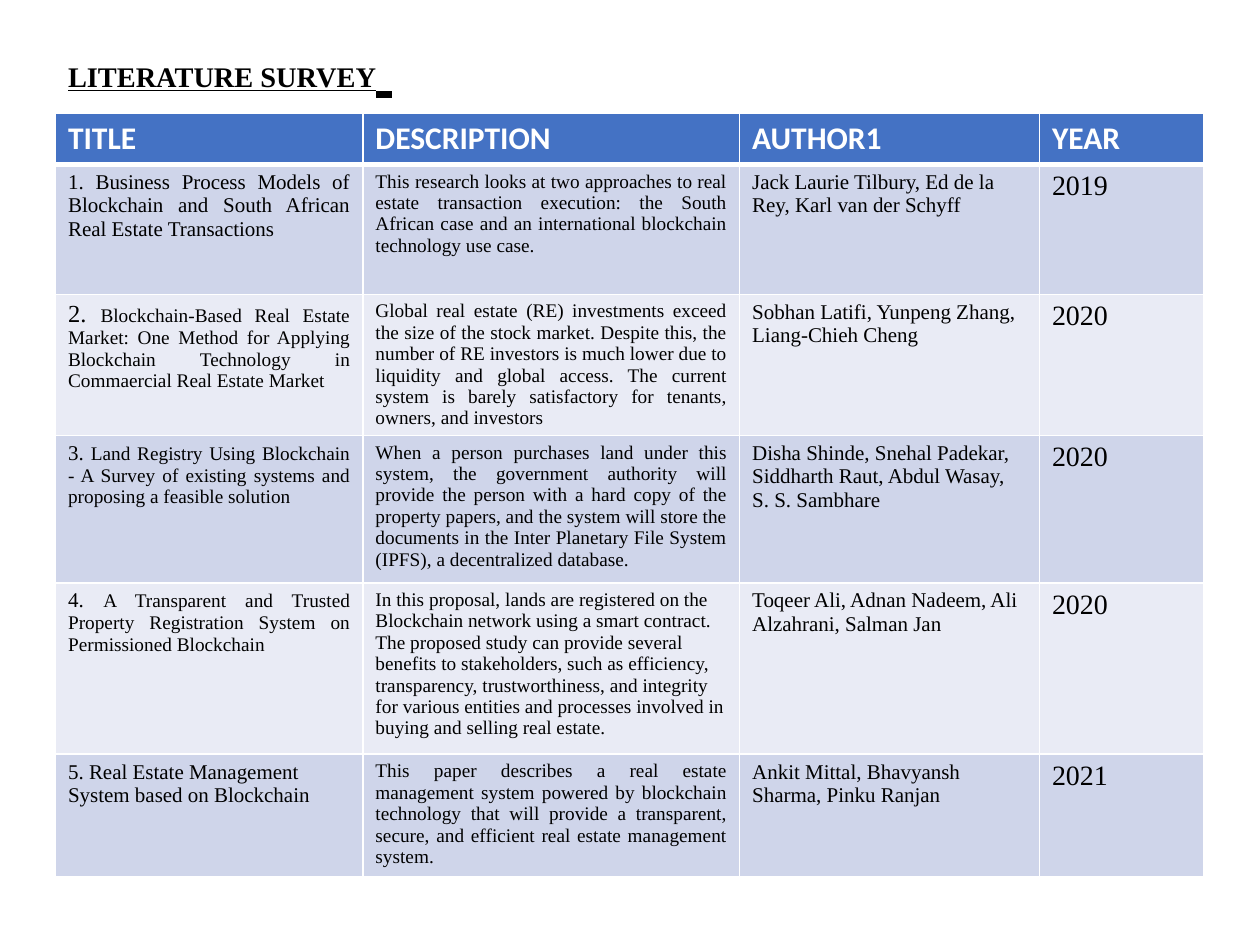
import pptx
import pptx.dml.color
import pptx.enum.text
import pptx.oxml
import pptx.oxml.ns
import pptx.util

SERIF, SANS = "Times New Roman", "Calibri"
BLACK, WHITE, BLUE = "000000", "FFFFFF", "4472C4"
BANDS = ["CFD5EA", "E9EBF5"]
ALIGN = pptx.enum.text.PP_ALIGN
WIDE = [24.4, 29.9, 23.8, 13]
HIGH = [3.5, 10.3, 10.7, 11.7, 13.6, 9.7]
HEADS = ["TITLE", "DESCRIPTION", "AUTHOR1", "YEAR"]
PAPERS = [
    ([("1. Business Process Models of Blockchain and South African Real Estate Transactions", 12)],
     "This research looks at two approaches to real estate transaction execution: the South "
     "African case and an international blockchain technology use case. ",
     "Jack Laurie Tilbury, Ed de la Rey, Karl van der Schyff", "2019"),
    ([("2. ", 14), ("Blockchain-Based Real Estate Market: One Method for Applying Blockchain "
                    "Technology in Commaercial Real Estate Market", 11)],
     "Global real estate (RE) investments exceed the size of the stock market. Despite this, the "
     "number of RE investors is much lower due to liquidity and global access. The current system "
     "is barely satisfactory for tenants, owners, and investors",
     "Sobhan Latifi, Yunpeng Zhang, Liang-Chieh Cheng", "2020"),
    ([("3. ", 12), ("Land Registry Using Blockchain - A Survey of existing systems and proposing "
                    "a feasible solution", 11)],
     "When a person purchases land under this system, the government authority will provide the "
     "person with a hard copy of the property papers, and the system will store the documents in "
     "the Inter Planetary File System (IPFS), a decentralized database.",
     "Disha Shinde, Snehal Padekar, Siddharth Raut, Abdul Wasay, S. S. Sambhare", "2020"),
    ([("4. ", 12), ("A Transparent and Trusted Property Registration System on Permissioned "
                    "Blockchain", 11)],
     "In this proposal, lands are registered on the Blockchain network using a smart contract. "
     "The proposed study can provide several benefits to stakeholders, such as efficiency, "
     "transparency, trustworthiness, and integrity for various entities and processes involved "
     "in buying and selling real estate.",
     "Toqeer Ali, Adnan Nadeem, Ali Alzahrani, Salman Jan", "2020"),
    ([("5. Real Estate Management System based on Blockchain", 12)],
     "This paper describes a real estate management system powered by blockchain technology "
     "that will provide a transparent, secure, and efficient real estate management system. ",
     "Ankit Mittal, Bhavyansh Sharma, Pinku Ranjan", "2021"),
]
LEFT = {(4, 1), (5, 0)}


def tint(code):
    """Turn a hex string into a colour."""
    return pptx.dml.color.RGBColor.from_string(code)


class Page:
    """Hold the style and the slide, on a grid of 100 columns and 75 rows."""

    def __init__(self, deck):
        """Add a title-only slide."""
        self.unit = deck.slide_width / 100
        self.slide = deck.slides.add_slide(deck.slide_layouts[5])

    def span(self, count):
        """Turn grid steps into a length."""
        return pptx.util.Emu(round(count * self.unit))

    def words(self, para, text, size, face=SERIF, code=BLACK, bold=False, line=None):
        """Add one styled run."""
        run = para.add_run()
        run.text = text
        font = run.font
        font.size, font.name = pptx.util.Pt(size), face
        font.bold, font.underline = bold, line
        font.color.rgb = tint(code)

    def title(self, text, box):
        """Place and fill the title."""
        head = self.slide.shapes.title
        head.left, head.top, head.width, head.height = map(self.span, box)
        frame = head.text_frame
        frame.word_wrap = True
        frame.auto_size = pptx.enum.text.MSO_AUTO_SIZE.NONE
        frame.vertical_anchor = pptx.enum.text.MSO_ANCHOR.MIDDLE
        para = frame.paragraphs[0]
        para.alignment, para.line_spacing = ALIGN.LEFT, 0.9
        self.words(para, text, 16.2, bold=True, line=True)
        self.words(para, " ", 39.6, SANS, line=True)

    def edge(self, cell, base):
        """Draw the white borders of a cell, the lower one in the given width."""
        props = cell._tc.get_or_add_tcPr()
        for side, width in zip("LRTB", [1, 1, 1, base]):
            props.append(pptx.oxml.parse_xml(
                f'<a:ln{side} {pptx.oxml.ns.nsdecls("a")} w="{pptx.util.Pt(width)}">'
                f'<a:solidFill><a:srgbClr val="{WHITE}"/></a:solidFill></a:ln{side}>'))

    def cell(self, cell, runs, fill, align, base=1, **style):
        """Fill one table cell."""
        self.edge(cell, base)
        cell.fill.solid()
        cell.fill.fore_color.rgb = tint(fill)
        para = cell.text_frame.paragraphs[0]
        para.alignment = align
        for text, size in runs:
            self.words(para, text, size, **style)

    def table(self, left, top):
        """Build the table of papers."""
        box = map(self.span, [left, top, sum(WIDE), sum(HIGH)])
        grid = self.slide.shapes.add_table(len(HIGH), len(WIDE), *box).table
        for col, wide in zip(grid.columns, WIDE):
            col.width = self.span(wide)
        for row, high in zip(grid.rows, HIGH):
            row.height = self.span(high)
        for x, text in enumerate(HEADS):
            self.cell(grid.cell(0, x), [(text, 18)], BLUE, ALIGN.LEFT, 3,
                      face=SANS, code=WHITE, bold=True)
        for y, (name, about, people, year) in enumerate(PAPERS, 1):
            parts = [name, [(about, 11)], [(people, 12)], [(year, 16)]]
            for x, runs in enumerate(parts):
                just = x < 2 and (y, x) not in LEFT
                self.cell(grid.cell(y, x), runs, BANDS[(y - 1) % 2],
                          ALIGN.JUSTIFY if just else ALIGN.LEFT)


def main():
    """Build and save the slide."""
    deck = pptx.Presentation()
    deck.slide_width, deck.slide_height = pptx.util.Inches(10), pptx.util.Inches(7.5)
    page = Page(deck)
    page.title("LITERATURE SURVEY", [4.4, 2, 86.2, 6.3])
    page.table(4.4, 9)
    deck.save("out.pptx")


if __name__ == "__main__":
    main()
